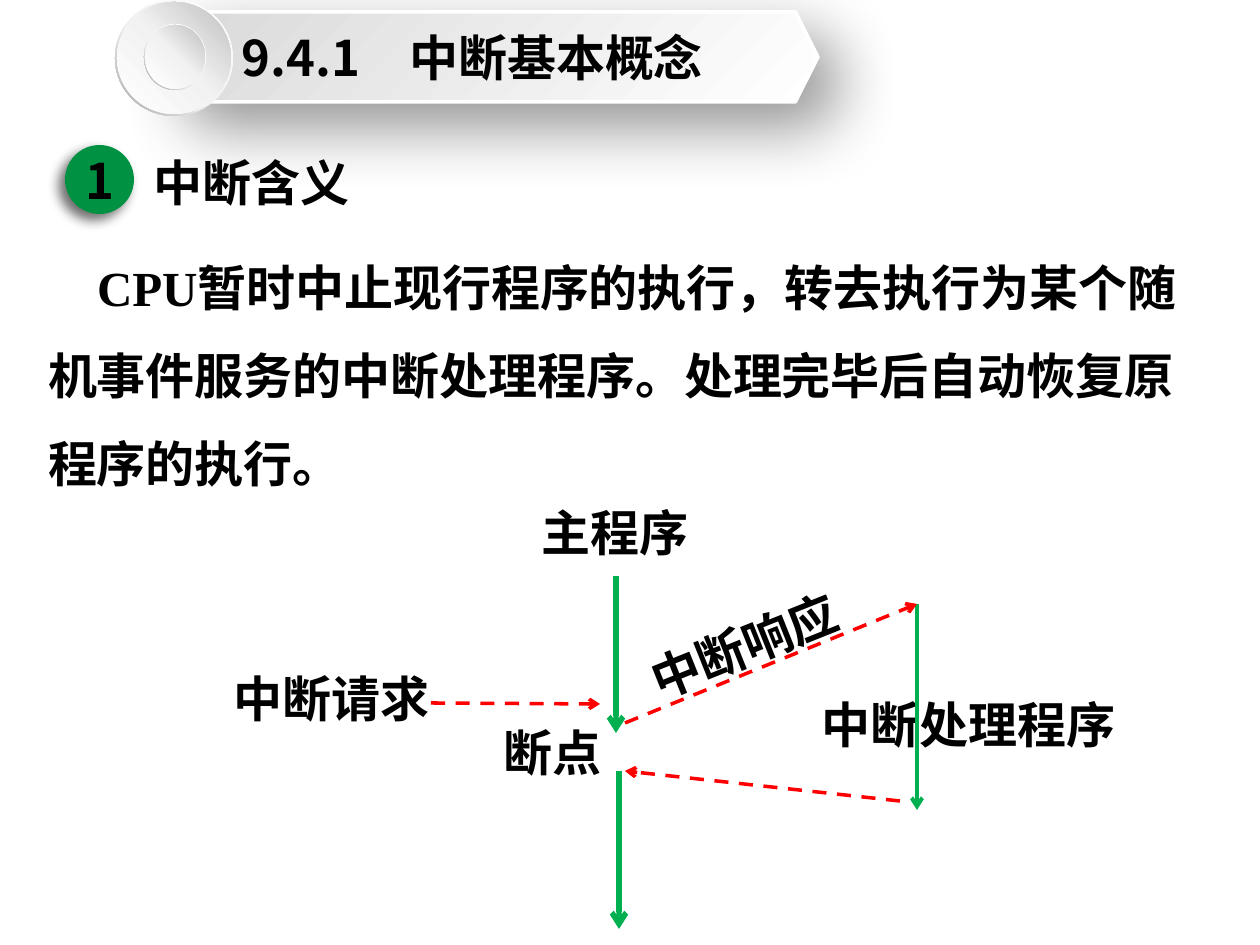
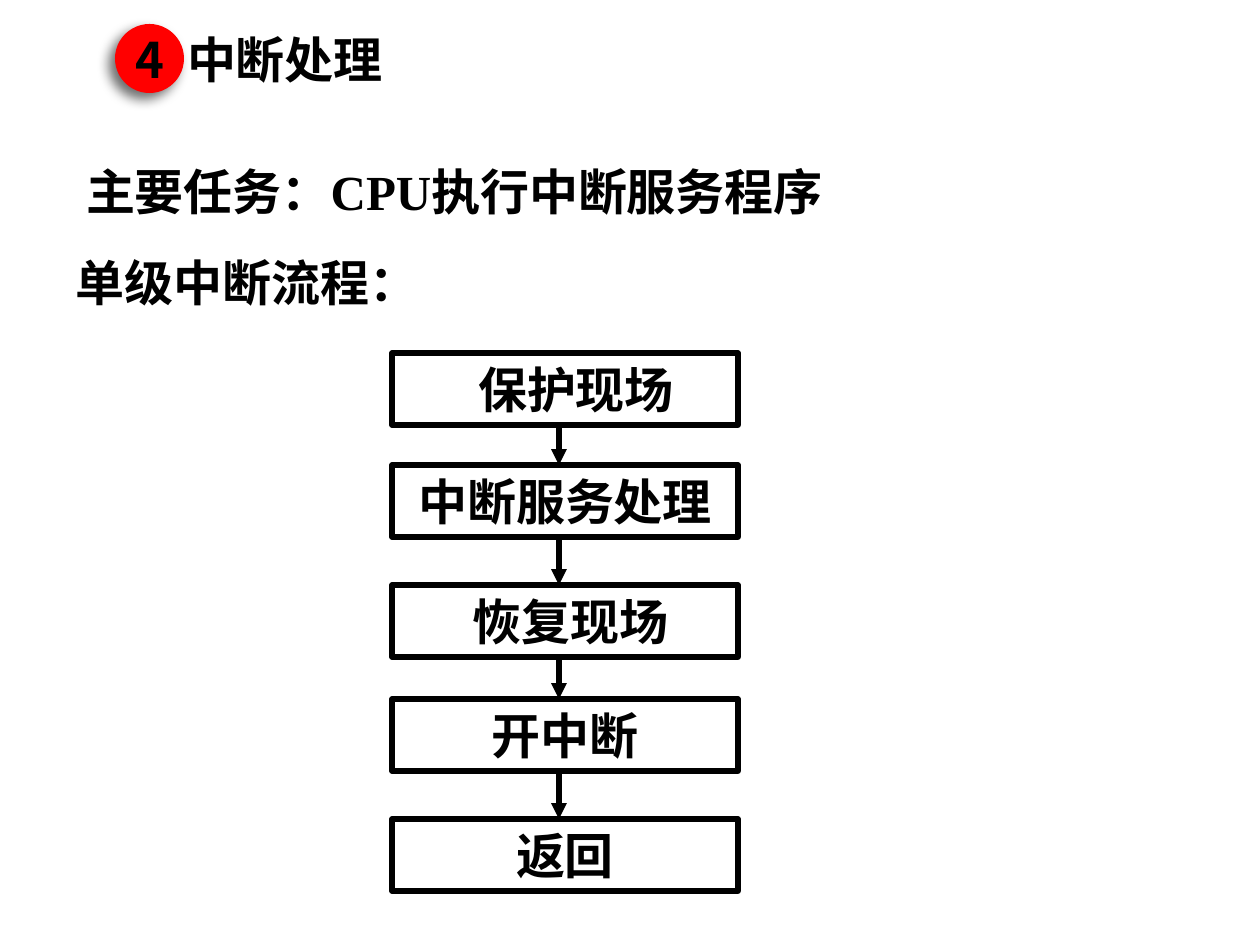
"""Build two slides on the interrupt concept and interrupt handling."""
import pptx
import pptx.util
import pptx.oxml
import pptx.oxml.ns
import pptx.dml.color
import pptx.enum.dml
import pptx.enum.shapes
import pptx.enum.text

EMU_PER_PX = 914400 / 126
COLORS = {
    "ink": "000000",
    "white": "FFFFFF",
    "pale": "F2F2F2",
    "silver": "D9D9D9",
    "disc_edge": "BFBFBF",
    "ring_edge": "A6A6A6",
    "badge_green": "009242",
    "flow_green": "00B050",
    "red": "FF0000",
}
LATIN = "Times New Roman"
CHINESE = "Noto Sans CJK SC"
TEXT_SIZE = 28
INSET = 13
SHAPE = pptx.enum.shapes.MSO_SHAPE
ALIGN = pptx.enum.text.PP_ALIGN
ANCHOR = pptx.enum.text.MSO_ANCHOR
NAMESPACE = pptx.oxml.ns.nsdecls("a")
qn = pptx.oxml.ns.qn

BANNER_FILL = ([(0, "white"), (100, "silver")], 225)
RING_FILL = ([(0, "white"), (55, "pale"), (100, "ring_edge")], 135)
DISC_FILL = ([(0, "white"), (51, "pale"), (100, "disc_edge")], 315)


def px(length):
    """Turn pixels into EMU."""
    return pptx.util.Emu(round(length * EMU_PER_PX))


def color(name):
    """Look up a palette colour."""
    return pptx.dml.color.RGBColor.from_string(COLORS[name])


def write(box, text, latin=LATIN, align=ALIGN.LEFT, anchor=ANCHOR.TOP,
          wrap=True, spacing=1.0, indent=0, margins=(INSET, 6, INSET, 6)):
    """Fill a shape with one formatted paragraph."""
    frame = box.text_frame
    frame.word_wrap = wrap
    frame.auto_size = pptx.enum.text.MSO_AUTO_SIZE.NONE
    frame.vertical_anchor = anchor
    (frame.margin_left, frame.margin_top,
     frame.margin_right, frame.margin_bottom) = map(px, margins)
    para = frame.paragraphs[0]
    para.alignment = align
    para.line_spacing = spacing
    para.space_before = pptx.util.Pt(0)
    properties = para._p.get_or_add_pPr()
    properties.set("marL", "0")
    properties.set("indent", str(px(indent)))
    properties.append(pptx.oxml.parse_xml(f"<a:buNone {NAMESPACE}/>"))
    span = para.add_run()
    span.text = text
    span.font.size = pptx.util.Pt(TEXT_SIZE)
    span.font.bold = True
    span.font.name = latin
    span.font.color.rgb = color("ink")
    span.font._element.find(qn("a:latin")).addnext(
        pptx.oxml.parse_xml(f'<a:ea {NAMESPACE} typeface="{CHINESE}"/>'))


def place(box, left, top, width, height):
    """Move and size a placeholder."""
    box.left, box.top, box.width, box.height = map(px, (left, top, width, height))


def add_title(page, text, area, **style):
    """Put the slide title in front of the shapes drawn so far."""
    title = page.shapes.title
    place(title, *area)
    write(title, text, **style)
    title.element.getparent().append(title.element)


def add_label(page, text, area, rotation=0, **style):
    """Add a text box, turned if needed."""
    box = page.shapes.add_textbox(*map(px, area))
    box.rotation = rotation
    write(box, text, **style)


def add_figure(page, kind, area, fill=None, gradient=None, line=None, width=0):
    """Add a preset shape with a plain, graded or empty fill."""
    figure = page.shapes.add_shape(kind, *map(px, area))
    figure.shadow.inherit = False
    if gradient:
        grade(figure, *gradient)
    elif fill:
        figure.fill.solid()
        figure.fill.fore_color.rgb = color(fill)
    else:
        figure.fill.background()
    if line:
        figure.line.color.rgb = color(line)
        figure.line.width = pptx.util.Pt(width)
    else:
        figure.line.fill.background()
    return figure


def grade(figure, stops, angle):
    """Give a shape a linear gradient, angle clockwise."""
    figure.fill.gradient()
    gradient = figure.element.spPr.find(qn("a:gradFill"))
    marks = "".join(f'<a:gs pos="{position * 1000}"><a:srgbClr val="{COLORS[name]}"/></a:gs>'
                    for position, name in stops)
    gradient.getparent().replace(gradient, pptx.oxml.parse_xml(
        f'<a:gradFill {NAMESPACE} rotWithShape="1"><a:gsLst>{marks}</a:gsLst>'
        f'<a:lin ang="{angle * 60000}" scaled="0"/></a:gradFill>'))


def cast_shadow(figure, opacity, blur, distance, angle):
    """Add an outer shadow, blur and distance in points."""
    effects = figure.element.spPr.find(qn("a:effectLst"))
    effects.append(pptx.oxml.parse_xml(
        f'<a:outerShdw {NAMESPACE} blurRad="{blur * 12700}" dist="{distance * 12700}"'
        f' dir="{angle * 60000}" algn="ctr" rotWithShape="0">'
        f'<a:srgbClr val="{COLORS["ink"]}"><a:alpha val="{opacity * 1000}"/></a:srgbClr>'
        '</a:outerShdw>'))


def add_arrow(page, start, end, name, width, head="arrow", dashed=False):
    """Draw a straight arrow."""
    arrow = page.shapes.add_connector(
        pptx.enum.shapes.MSO_CONNECTOR.STRAIGHT, *map(px, start + end))
    arrow.line.color.rgb = color(name)
    arrow.line.width = pptx.util.Pt(width)
    if dashed:
        arrow.line.dash_style = pptx.enum.dml.MSO_LINE.DASH
    arrow.line._get_or_add_ln().append(
        pptx.oxml.parse_xml(f'<a:tailEnd {NAMESPACE} type="{head}"/>'))
    arrow.element.spPr.append(pptx.oxml.parse_xml(f"<a:effectLst {NAMESPACE}/>"))


def add_badge(page, number, left, top, fill):
    """Add a numbered circle with a shadow."""
    badge = add_figure(page, SHAPE.OVAL, (left, top, 69, 69), fill=fill)
    cast_shadow(badge, 57, 7, 5, 135)
    write(badge, number, latin=CHINESE, align=ALIGN.CENTER,
          anchor=ANCHOR.MIDDLE, margins=(0, 0, 0, 0))


def add_banner(page):
    """Draw the arrow banner with its two rimmed discs."""
    banner = add_figure(page, SHAPE.HEXAGON, (154, 12, 664, 90),
                        gradient=BANNER_FILL, line="white", width=2)
    cast_shadow(banner, 42, 38, 19, 45)
    for left, top, width, height, rim in ((115, 0, 118, 116, 2), (144, 24, 62, 66, 1)):
        ring = add_figure(page, SHAPE.DONUT, (left, top, width, height), gradient=RING_FILL)
        ring.adjustments[0] = 0.05
        add_figure(page, SHAPE.OVAL,
                   (left + rim, top + rim, width - 2 * rim, height - 2 * rim),
                   gradient=DISC_FILL)


def build_concept(deck):
    """Build the slide that explains what an interrupt is."""
    page = deck.slides.add_slide(deck.slide_layouts[1])
    body = page.placeholders[1]
    place(body, 35, 222, 1181, 268)
    write(body, "CPU暂时中止现行程序的执行，转去执行为某个随机事件服务的中断处理程序。"
          "处理完毕后自动恢复原程序的执行。", spacing=1.5, indent=49)
    for text, area in (("中断请求", (221, 662, 280, 72)),
                       ("中断处理程序", (809, 688, 345, 72)),
                       ("主程序", (529, 496, 244, 72)),
                       ("断点", (491, 716, 139, 72))):
        add_label(page, text, area)
    for start, end, width in (((616, 576), (616, 733), 3),
                              ((917, 604), (917, 810), 2.25),
                              ((619, 771), (619, 929), 3)):
        add_arrow(page, start, end, "flow_green", width)
    for start, end in (((431, 703), (600, 704)),
                       ((625, 723), (917, 604)),
                       ((900, 801), (625, 771))):
        add_arrow(page, start, end, "red", 2, dashed=True)
    add_banner(page)
    add_title(page, "9.4.1　中断基本概念", (229, 12, 575, 90),
              latin=CHINESE, anchor=ANCHOR.MIDDLE)
    add_badge(page, "1", 65, 145, "badge_green")
    add_label(page, "中断含义", (141, 146, 224, 72), wrap=False)
    add_label(page, "中断响应", (633, 609, 224, 72), rotation=338.1, wrap=False)


def build_handling(deck):
    """Build the slide with the single-level interrupt flow."""
    page = deck.slides.add_slide(deck.slide_layouts[5])
    add_label(page, "单级中断流程：", (63, 246, 421, 72))
    add_label(page, "主要任务：CPU执行中断服务程序", (73, 155, 902, 72))
    steps = (("保护现场", 353, 22), ("中断服务处理", 465, 0), ("恢复现场", 585, 11),
             ("开中断", 699, 0), ("返回", 819, 0))
    for text, top, shift in steps:
        box = add_figure(page, SHAPE.RECTANGLE, (392, top, 346, 72), line="ink", width=3)
        write(box, text, align=ALIGN.CENTER, margins=(INSET + shift, 6, INSET, 6))
    for (_, top, _), (_, next_top, _) in zip(steps, steps[1:]):
        add_arrow(page, (559, top + 74), (559, next_top), "ink", 3, head="triangle")
    add_badge(page, "4", 115, 24, "red")
    add_title(page, "中断处理", (174, 23, 238, 72))


def main():
    """Build and save the deck."""
    deck = pptx.Presentation()
    deck.slide_width, deck.slide_height = px(1260), px(945)
    build_concept(deck)
    build_handling(deck)
    deck.save("out.pptx")


if __name__ == "__main__":
    main()
